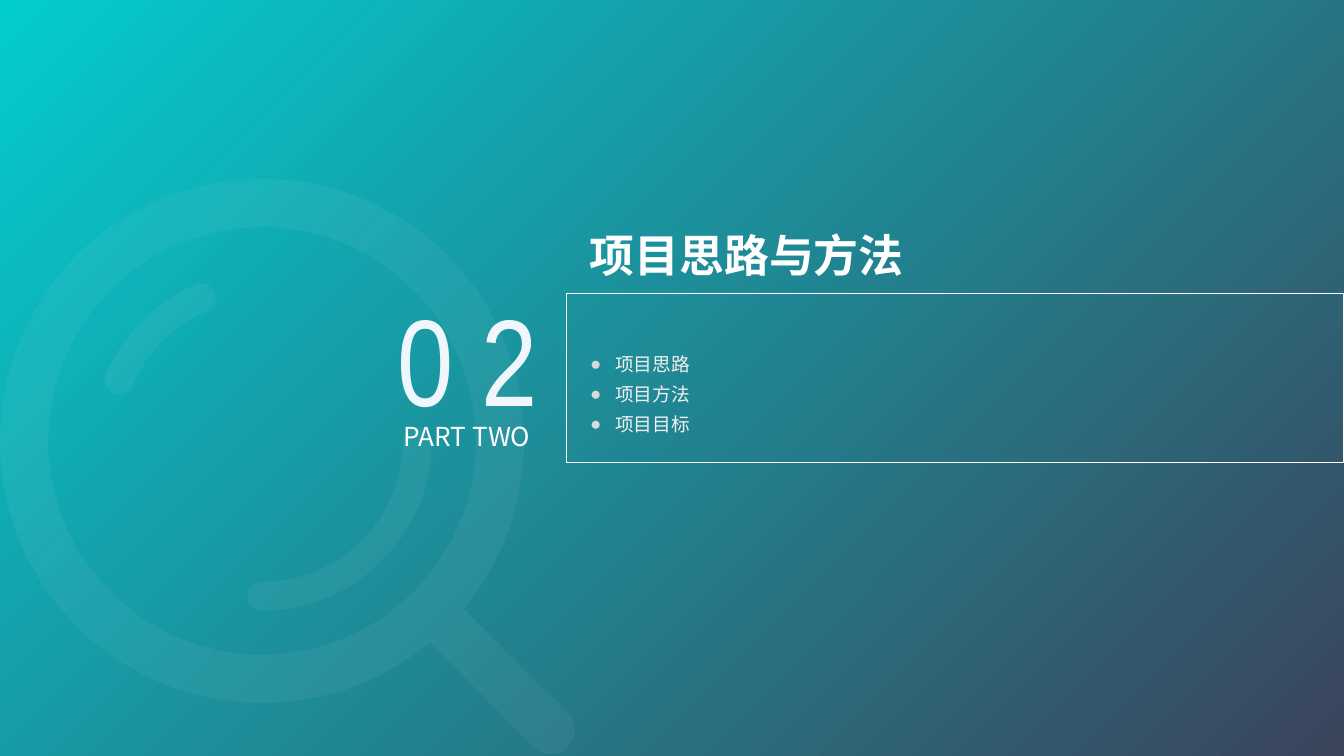
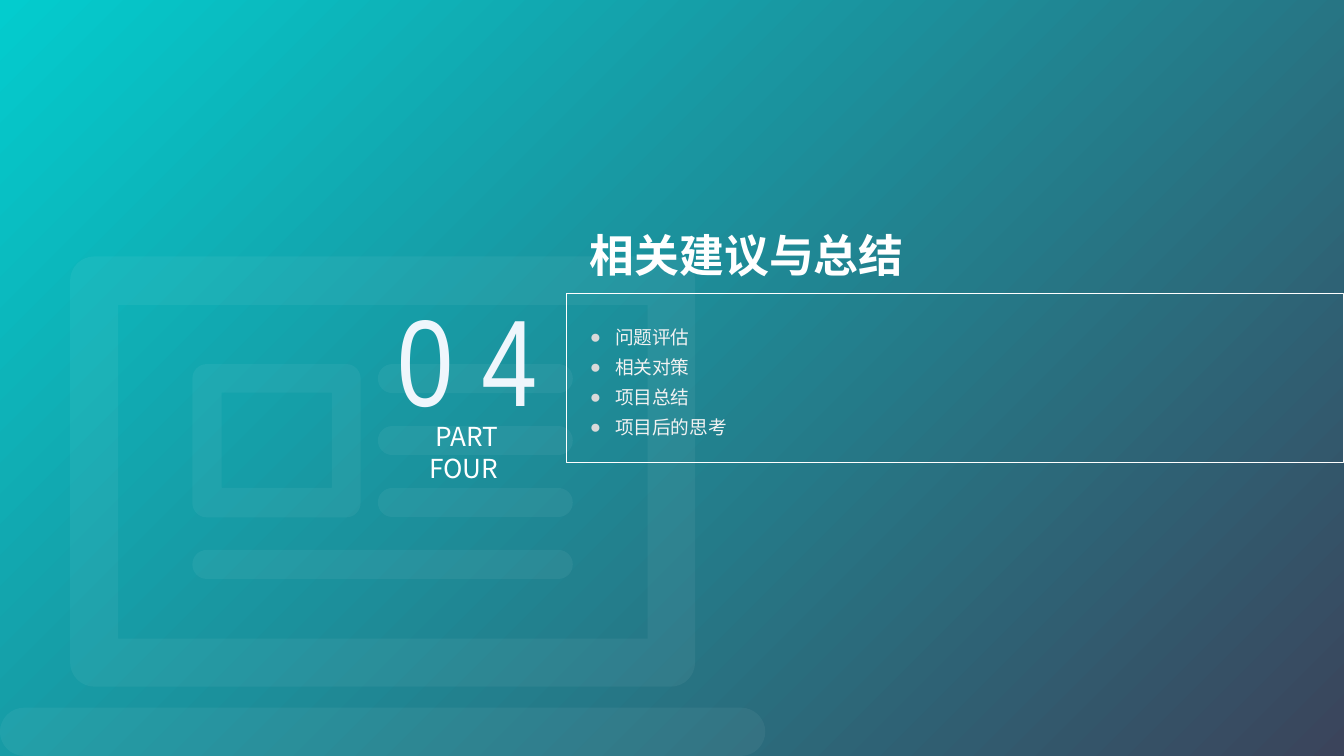
"""Build two section divider slides over a shared gradient."""
from math import ceil, cos, radians, sin, tan

from lxml.etree import SubElement
from pptx import Presentation
from pptx.dml.color import RGBColor
from pptx.enum.shapes import MSO_SHAPE
from pptx.enum.text import MSO_ANCHOR, MSO_AUTO_SIZE, PP_ALIGN
from pptx.oxml import parse_xml
from pptx.oxml.ns import nsdecls, qn
from pptx.util import Pt

HUES = {"teal": "03CCCE", "slate": "3B445B", "white": "FFFFFF",
        "pale": "EFF6FC", "soft": "F2F2F2", "dot": "D9D9D9"}
SANS, SLIM, MARK = "Noto Sans CJK SC", "Arial Narrow", "Arial"

PARTS = [
    {"title": "项目思路与方法", "num": "0 2", "label": "PART TWO", "art": "lens",
     "items": ["项目思路", "项目方法", "项目目标"],
     "num_box": (202.7, 148.3, 95.8, 87.1), "label_box": (202.7, 221.8, 95, 24.5),
     "list_box": (309, 181.6, 68.4, 54)},
    {"title": "相关建议与总结", "num": "0 4", "label": "PART FOUR ", "art": "screen",
     "items": ["问题评估", "相关对策", "项目总结", "项目后的思考"],
     "num_box": (201.6, 148.3, 97.9, 87.1), "label_box": (206.9, 221.8, 86.4, 41),
     "list_box": (309, 167.2, 90.7, 70.6)},
]
FRAME = (303.3, 157, 416.7, 90.7)
TITLE = (308.8, 117.6, 289.4, 37.4)


def polar(mid, rad, turn):
    return (mid[0] + rad * cos(radians(turn)), mid[1] + rad * sin(radians(turn)))


def arc(mid, rad, start, end):
    count = ceil(abs(end - start) / 90)
    step = (end - start) / count
    pull = rad * 4 / 3 * tan(radians(step / 4))
    bends = [(polar(mid, rad, start),)]
    for i in range(count):
        a, b = start + step * i, start + step * (i + 1)
        p, q = polar(mid, rad, a), polar(mid, rad, b)
        bends.append((polar(p, pull, a + 90), polar(q, pull, b - 90), q))
    return bends


def band(mid, rad, half, start, end):
    first, last = polar(mid, rad, start), polar(mid, rad, end)
    return (arc(mid, rad + half, start, end) + arc(last, half, end, end + 180)[1:]
            + arc(mid, rad - half, end, start)[1:]
            + arc(first, half, start + 180, start + 360)[1:])


def block(left, top, right, bottom, rad=0):
    if not rad:
        return [((left, top),), ((right, top),), ((right, bottom),), ((left, bottom),)]
    mids = [(left + rad, top + rad), (right - rad, top + rad),
            (right - rad, bottom - rad), (left + rad, bottom - rad)]
    return [bend for i, mid in enumerate(mids)
            for bend in arc(mid, rad, 180 + 90 * i, 270 + 90 * i)]


def lens():
    mid = (140.4, 236.2)
    rim = arc(mid, 140.4, 50.2, 399.8) + arc((295, 391), 13, -45, 135)
    return (0, 95.8, 308.7, 404.7), [
        rim, arc(mid, 114.5, 0, 360),
        band(mid, 83.2, 7.7, 203, 247), band(mid, 83.2, 7.7, 0, 90)]


def screen():
    rows = []
    for i in range(4):
        top = 195.1 + 33.2 * i
        rows.append(block(202.5 if i < 3 else 103.1, top, 306.9, top + 15.5, 7.7))
    return (0, 137.4, 410, 405), [
        block(37.6, 137.4, 372.4, 367.9, 13), block(63.3, 163.4, 347, 342.2),
        block(103.1, 195.1, 193.2, 277.2, 7.7), block(118.8, 210.4, 177.8, 261.4),
        block(0, 379.2, 410, 405, 13)] + rows


ARTS = {"lens": lens, "screen": screen}


def hue(name):
    return RGBColor.from_string(HUES[name])


def draw(slide, box, loops):
    left, top, right, bottom = map(Pt, box)
    pen = slide.shapes.build_freeform(left, top)
    pen.add_line_segments([(right, top), (right, bottom), (left, bottom)])
    shape = pen.convert_to_shape()
    shape.shadow.inherit = False
    shape.line.fill.background()
    shape.fill.solid()
    shape.fill.fore_color.rgb = hue("white")
    tint = next(shape.element.iter(qn("a:srgbClr")))
    SubElement(tint, qn("a:alpha"), val="5000")
    route = next(shape.element.iter(qn("a:path")))
    for node in list(route):
        route.remove(node)
    for loop in loops:
        for i, bend in enumerate(loop):
            kind = "cubicBezTo" if len(bend) == 3 else "lnTo" if i else "moveTo"
            node = SubElement(route, qn("a:" + kind))
            for x, y in bend:
                SubElement(node, qn("a:pt"), x=str(Pt(x) - left), y=str(Pt(y) - top))
        SubElement(route, qn("a:close"))


def style(para, size, color, face=SANS, bold=False, align=PP_ALIGN.LEFT):
    para.alignment = align
    for run in para.runs:
        font = run.font
        font.size, font.bold, font.name = Pt(size), bold, face
        font.color.rgb = hue(color)
        SubElement(font._element, qn("a:ea"), typeface=face)


def write(slide, box, lines, size, color, face=SANS, wrap=False,
          align=PP_ALIGN.CENTER):
    frame = slide.shapes.add_textbox(*map(Pt, box)).text_frame
    frame.text = "\n".join(lines)
    frame.word_wrap = wrap
    frame.auto_size = MSO_AUTO_SIZE.SHAPE_TO_FIT_TEXT
    for para in frame.paragraphs:
        style(para, size, color, face, align=align)
    return frame.paragraphs


def bullet(para):
    para.line_spacing = Pt(16)
    props = para._p.get_or_add_pPr()
    props.set("marL", str(Pt(13.5)))
    props.set("indent", str(-Pt(13.5)))
    SubElement(SubElement(props, qn("a:buClr")), qn("a:srgbClr"), val=HUES["dot"])
    SubElement(props, qn("a:buFont"), typeface=MARK)
    SubElement(props, qn("a:buChar"), char="●")


def edge(para):
    line = parse_xml(f'<a:ln {nsdecls("a")} w="{Pt(0.5)}"><a:solidFill>'
                     f'<a:srgbClr val="{HUES["pale"]}"/></a:solidFill></a:ln>')
    para.runs[0].font._element.insert(0, line)


def head(slide, text):
    title = slide.shapes.title
    title.left, title.top, title.width, title.height = map(Pt, TITLE)
    form = parse_xml(f'<a:prstGeom {nsdecls("a")} prst="roundRect"><a:avLst>'
                     '<a:gd name="adj" fmla="val 0"/></a:avLst></a:prstGeom>')
    title.element.spPr.append(form)
    frame = title.text_frame
    frame.text = text
    frame.auto_size = MSO_AUTO_SIZE.NONE
    frame.vertical_anchor = MSO_ANCHOR.MIDDLE
    style(frame.paragraphs[0], 24, "white", bold=True)
    title.element.getparent().append(title.element)


def build(deck, part):
    slide = deck.slides.add_slide(deck.slide_layouts[5])
    draw(slide, *ARTS[part["art"]]())
    frame = slide.shapes.add_shape(MSO_SHAPE.RECTANGLE, *map(Pt, FRAME))
    frame.shadow.inherit = False
    frame.fill.background()
    frame.line.color.rgb = hue("white")
    frame.line.width = Pt(0.5)
    head(slide, part["title"])
    edge(write(slide, part["num_box"], [part["num"]], 66, "pale", SLIM)[0])
    for para in write(slide, part["list_box"], part["items"], 10, "soft",
                      align=PP_ALIGN.LEFT):
        bullet(para)
    write(slide, part["label_box"], [part["label"]], 14, "white", wrap=True)


deck = Presentation()
deck.slide_width, deck.slide_height = Pt(720), Pt(405)
fill = deck.slide_master.background.fill
fill.gradient()
fill.gradient_angle = 315
for stop, spot, name in zip(fill.gradient_stops, (0, 1), ("teal", "slate")):
    stop.position = spot
    stop.color.rgb = hue(name)
for part in PARTS:
    build(deck, part)
deck.save("out.pptx")
